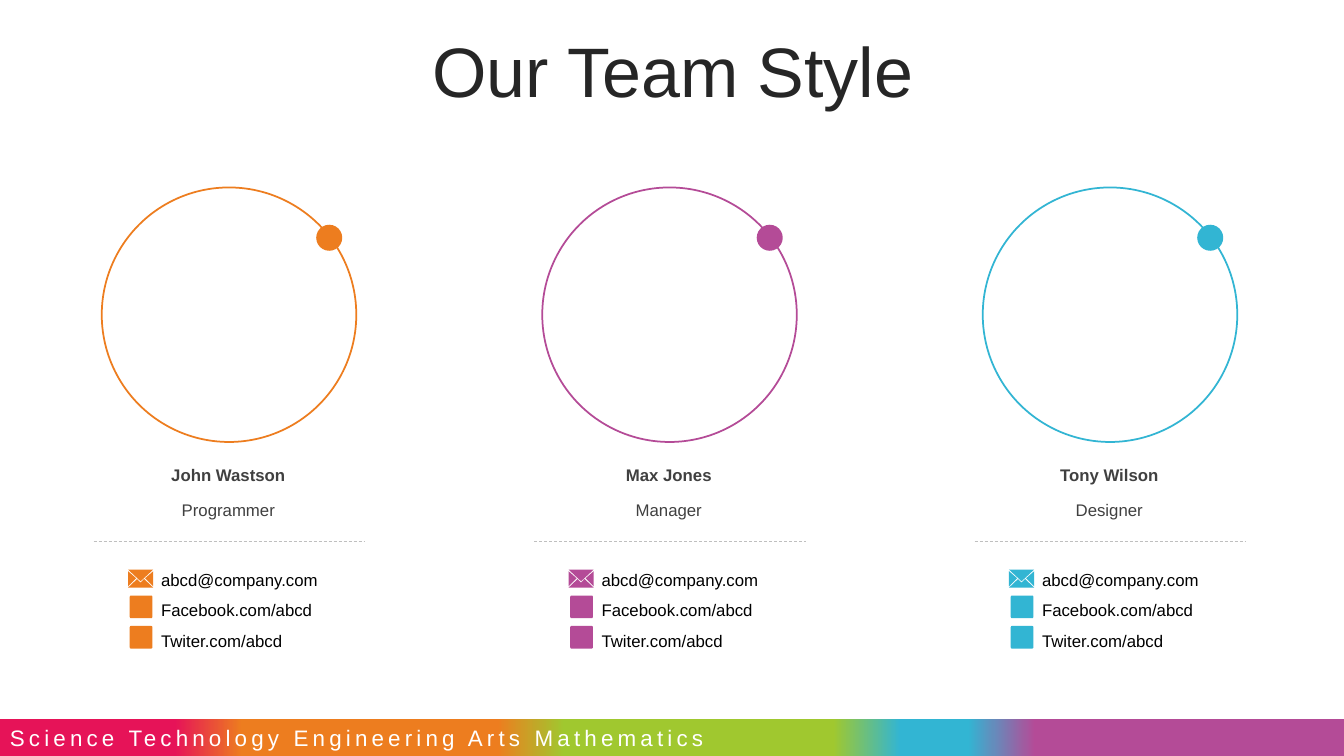
from lxml import etree
from pptx import Presentation
from pptx.dml.color import RGBColor
from pptx.enum.dml import MSO_LINE
from pptx.enum.shapes import MSO_CONNECTOR, MSO_SHAPE
from pptx.enum.text import MSO_ANCHOR, MSO_AUTO_SIZE, PP_ALIGN
from pptx.oxml.ns import qn
from pptx.util import Emu, Pt

OVAL, RECT, ROUND = MSO_SHAPE.OVAL, MSO_SHAPE.RECTANGLE, MSO_SHAPE.ROUNDED_RECTANGLE
LEFT, CENTER, JUST = PP_ALIGN.LEFT, PP_ALIGN.CENTER, PP_ALIGN.JUSTIFY
MIDDLE, TOP = MSO_ANCHOR.MIDDLE, MSO_ANCHOR.TOP
GROW, FIXED = MSO_AUTO_SIZE.SHAPE_TO_FIT_TEXT, MSO_AUTO_SIZE.NONE
DASH, STRAIGHT = MSO_LINE.DASH, MSO_CONNECTOR.STRAIGHT

COLS, ROWS, UNIT = 160, 90, 76200
PITCH = 52.44
PINK, ORANGE, GREEN, BLUE, PURPLE = "E61358", "ED7D1F", "A0C82F", "32B5D3", "B44B97"
BANDS = [(PINK, 0, 13), (ORANGE, 18, 37), (GREEN, 42, 62), (BLUE, 67, 72), (PURPLE, 77, 99)]
TEAM = [
    ("John Wastson", "Programmer", ORANGE),
    ("Max Jones", "Manager", PURPLE),
    ("Tony Wilson", "Designer", BLUE),
]
LINKS = ["abcd@company.com", "Facebook.com/abcd", "Twiter.com/abcd"]
MAIL = [
    [(192, 114), (300, 216), (0, 216), (108, 114), (150, 156)],
    [(300, 20), (300, 200), (204, 104)],
    [(0, 20), (96, 104), (0, 200)],
    [(0, 0), (300, 0), (150, 140)],
]


def tint(code):
    return RGBColor.from_string(code)


def grid(*spans):
    return [Emu(round(span * UNIT)) for span in spans]


class Deck:
    font = "Arial"

    def __init__(self):
        self.show = Presentation()
        self.show.slide_width, self.show.slide_height = grid(COLS, ROWS)
        self.slide = self.show.slides.add_slide(self.show.slide_layouts[5])
        self.shapes = self.slide.shapes

    def words(self, frame, text, size, color, align=LEFT, bold=False, anchor=TOP, fit=GROW):
        frame.text = text
        frame.word_wrap = True
        frame.auto_size = fit
        frame.vertical_anchor = anchor
        line = frame.paragraphs[0]
        line.alignment = align
        font = line.runs[0].font
        font.name, font.size, font.bold = self.font, Pt(size), bold
        font.color.rgb = tint(color)
        return line

    def title(self, text, box):
        head = self.shapes.title
        head.left, head.top, head.width, head.height = grid(*box)
        line = self.words(head.text_frame, text, 50, "262626", CENTER, anchor=MIDDLE, fit=FIXED)
        line.line_spacing = 0.8

    def label(self, text, box, color="000000", align=LEFT, bold=False):
        frame = self.shapes.add_textbox(*grid(*box)).text_frame
        self.words(frame, text, 12, color, align, bold)

    def paint(self, shape, color):
        shape.shadow.inherit = False
        shape.fill.solid()
        shape.fill.fore_color.rgb = tint(color)
        shape.line.fill.background()

    def solid(self, kind, box, color):
        shape = self.shapes.add_shape(kind, *grid(*box))
        self.paint(shape, color)
        return shape

    def ring(self, box, color):
        shape = self.solid(OVAL, box, color)
        shape.fill.background()
        shape.line.color.rgb = tint(color)
        shape.line.width = Pt(1.25)

    def rule(self, left, right, row):
        line = self.shapes.add_connector(STRAIGHT, *grid(left, row, right, row))
        line.line.color.rgb = tint("BFBFBF")
        line.line.width = Pt(0.5)
        line.line.dash_style = DASH
        etree.SubElement(line._element.spPr, qn("a:effectLst"))

    def mail(self, left, top, color):
        pen = None
        for first, *rest in MAIL:
            if pen is None:
                pen = self.shapes.build_freeform(*first, scale=UNIT / 100)
            else:
                pen.move_to(*first)
            pen.add_line_segments(rest, close=True)
        self.paint(pen.convert_to_shape(*grid(left, top)), color)

    def footer(self, text, box):
        bar = self.solid(RECT, box, PINK)
        bar.fill.gradient()
        bar.fill.gradient_angle = 0
        stops = bar._element.spPr.find(qn("a:gradFill")).find(qn("a:gsLst"))
        for stop in list(stops):
            stops.remove(stop)
        for color, start, end in BANDS:
            for share in (start, end):
                stop = etree.SubElement(stops, qn("a:gs"), pos=str(share * 1000))
                etree.SubElement(stop, qn("a:srgbClr"), val=color)
        line = self.words(bar.text_frame, text, 16, "FFFFFF", JUST, anchor=MIDDLE)
        line.runs[0].font._element.set("spc", "300")

    def member(self, left, name, role, color):
        self.ring((left + 12.12, 22.32, 30.3, 30.3), color)
        self.solid(OVAL, (left + 37.65, 26.76, 3.1, 3.1), color)
        self.label(name, (left + 14.04, 54.72, 26.28, 3.6), "404040", CENTER, True)
        self.label(role, (left + 14.04, 58.92, 26.28, 3.6), "404040", CENTER)
        self.rule(left + 11.16, left + 43.5, 64.44)
        self.mail(left + 15.24, 67.8, color)
        for row in range(2):
            badge = self.solid(ROUND, (left + 15.45, 70.9 + row * 3.62, 2.7, 2.7), color)
            badge.adjustments[0] = 0.06
        for row, link in enumerate(LINKS):
            self.label(link, (left + 18, 67.2 + row * 3.64, 21.24, 3.6))


def main():
    deck = Deck()
    deck.title("Our Team Style", (4.2, 4.44, 151.92, 9.48))
    for place, (name, role, color) in enumerate(TEAM):
        deck.member(place * PITCH, name, role, color)
    deck.footer("Science Technology Engineering Arts Mathematics", (0, 85.56, COLS, 4.44))
    deck.show.save("out.pptx")


if __name__ == "__main__":
    main()
